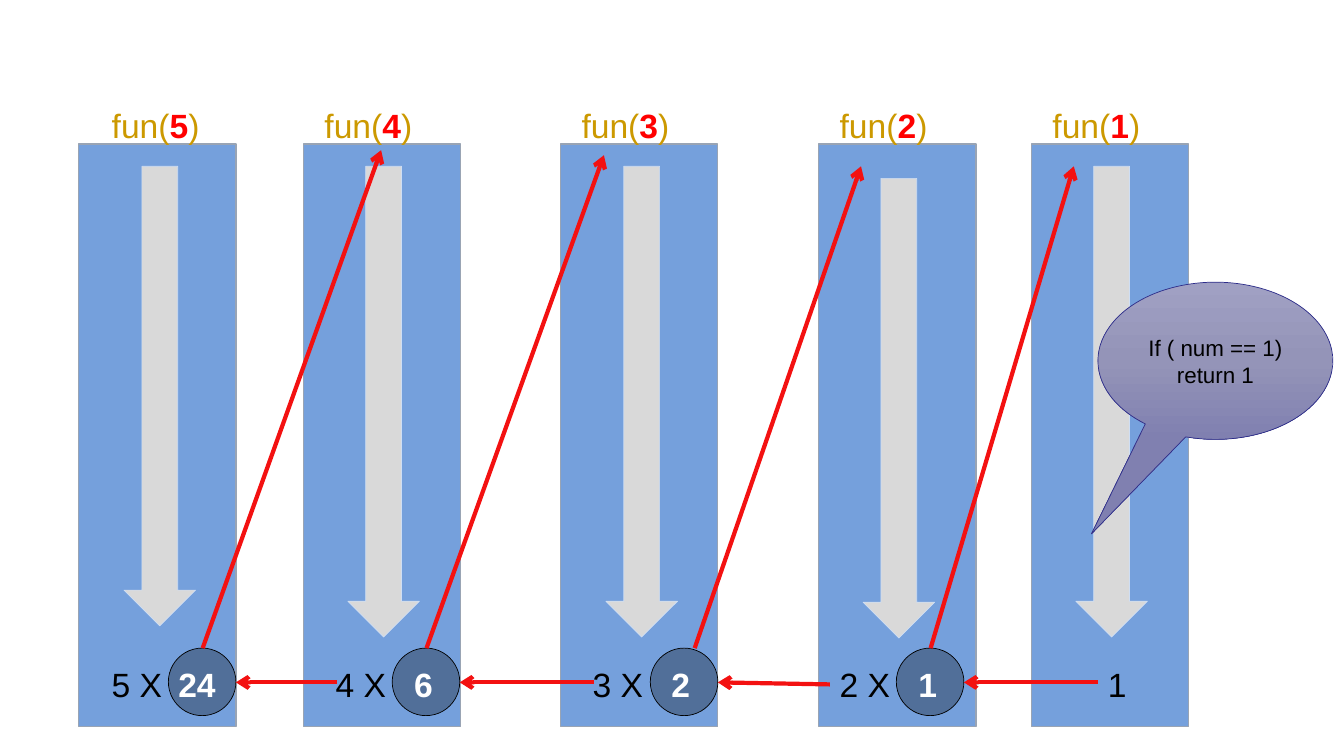
import copy

import pptx
import pptx.dml.color
import pptx.enum.shapes
import pptx.enum.text
import pptx.oxml
import pptx.oxml.ns
import pptx.util

PX = 9144  # EMU per px, 100 px to the inch
SHAPE = pptx.enum.shapes.MSO_SHAPE
ALIGN = pptx.enum.text.PP_ALIGN
ANCHOR = pptx.enum.text.MSO_ANCHOR
A_NS = 'xmlns:a="http://schemas.openxmlformats.org/drawingml/2006/main"'

RED, GOLD, ARROW_RED = "FF0000", "CC9900", "F31111"
BLACK, WHITE = "000000", "FFFFFF"
TOP, COL_W, COL_H = 143, 156, 578
CIRCLE_TOP, CIRCLE_D = 643, 67

# One call of the function per column; dx values are offsets from its left edge
COLUMNS = [
    dict(left=78, num=5, label_dx=23, arrow=(45, 165, 456), term="5 X", term_dx=23,
         result="24", circle_dx=89, result_dx=89),
    dict(left=301, num=4, label_dx=11, arrow=(44, 165, 467), term="4 X", term_dx=22,
         result="6", circle_dx=88, result_dx=100),
    dict(left=556, num=3, label_dx=11, arrow=(45, 165, 467), term="3 X", term_dx=22,
         result="2", circle_dx=89, result_dx=100),
    dict(left=812, num=2, label_dx=11, arrow=(44, 177, 456), term="2 X", term_dx=11,
         result="1", circle_dx=77, result_dx=89),
    dict(left=1023, num=1, label_dx=11, arrow=(44, 165, 467), term="1", term_dx=66,
         result=None),
]
CALLS = [((201, 643), (378, 149)), ((423, 643), (599, 154)),
         ((689, 643), (854, 165)), ((923, 643), (1065, 165))]
RETURNS = [((334, 677), (234, 677)), ((589, 677), (456, 677)),
           ((823, 679), (712, 677)), ((1089, 677), (956, 677))]


def px(*values):
    return [pptx.util.Emu(v * PX) for v in values]


def rgb(color):
    return pptx.dml.color.RGBColor.from_string(color)


def add_runs(p, runs, size=24):
    for text, color, bold in runs:
        r = p.add_run()
        r.text = text
        style = dict(name="Arial", size=pptx.util.Pt(size), bold=bold)
        for key, value in style.items():
            setattr(r.font, key, value)
        r.font.color.rgb = rgb(color)


def add_text(slide, left, top, width, runs, wrap=False):
    tf = slide.shapes.add_textbox(*px(left, top, width, 50)).text_frame
    tf.word_wrap = wrap
    add_runs(tf.paragraphs[0], runs)


def add_shape(slide, kind, box, fill, line, line_pt):
    sp = slide.shapes.add_shape(kind, *px(*box))
    sp.shadow.inherit = False
    if fill:
        sp.fill.solid()
        sp.fill.fore_color.rgb = rgb(fill)
    sp.line.color.rgb = rgb(line)
    sp.line.width = pptx.util.Pt(line_pt)
    return sp


def add_arrow(slide, start, end):
    cn = slide.shapes.add_connector(
        pptx.enum.shapes.MSO_CONNECTOR.STRAIGHT, *px(*start, *end))
    cn.line.color.rgb = rgb(ARROW_RED)
    cn.line.width = pptx.util.Pt(3)
    cn.line._get_or_add_ln().append(
        pptx.oxml.parse_xml(f'<a:tailEnd {A_NS} type="arrow"/>'))
    cn._element.spPr.append(pptx.oxml.parse_xml(f"<a:effectLst {A_NS}/>"))


def add_column(slide, left, num, label_dx, arrow, term, term_dx, result,
               circle_dx=0, result_dx=0):
    # Bar, heading and downward arrow
    add_shape(slide, SHAPE.RECTANGLE, (left, TOP, COL_W, COL_H), "75A0DC", "99A4B4", 1)
    add_text(slide, left + label_dx, 99, 133,
             [("fun(", GOLD, False), (str(num), RED, True), (")", GOLD, False)], True)
    arrow_dx, arrow_top, arrow_h = arrow
    add_shape(slide, SHAPE.DOWN_ARROW, (left + arrow_dx, arrow_top, 71, arrow_h),
              "D9D9D9", "CFDEF3", 0.5)
    # Product at the foot
    add_text(slide, left + term_dx, 654, 78 if result else 39, [(term, BLACK, False)])
    if result:
        sp = add_shape(slide, SHAPE.OVAL,
                       (left + circle_dx, CIRCLE_TOP, CIRCLE_D, CIRCLE_D),
                       BLACK, BLACK, 0.5)
        clr = sp._element.spPr.find(pptx.oxml.ns.qn("a:solidFill"))[0]
        clr.append(pptx.oxml.parse_xml(f'<a:alpha {A_NS} val="30000"/>'))
        add_text(slide, left + result_dx, 654, 39 if len(result) == 1 else 57,
                 [(result, WHITE, True)])


def add_callout(slide, box, lines):
    sp = add_shape(slide, SHAPE.OVAL_CALLOUT, box, None, "2D2D8A", 0.5)
    for i, value in enumerate((-0.528, 1.101)):
        sp.adjustments[i] = value
    # Three-stop gradient, light at the top
    sp.fill.gradient()
    sp.fill.gradient_angle = 270
    stops = sp._element.spPr.find(".//" + pptx.oxml.ns.qn("a:gsLst"))
    stops.insert(1, copy.deepcopy(stops[0]))
    colors = ("A0A0C3", "9494B8", "8080B0")
    for i, (stop, color) in enumerate(zip(sp.fill.gradient_stops, colors)):
        stop.position = i / 2
        stop.color.rgb = rgb(color)
    tf = sp.text_frame
    tf.word_wrap = True
    tf.vertical_anchor = ANCHOR.MIDDLE
    for i, text in enumerate(lines):
        p = tf.add_paragraph() if i else tf.paragraphs[0]
        p.alignment = ALIGN.CENTER
        add_runs(p, [(text, BLACK, False)], 16)


def main():
    prs = pptx.Presentation()
    prs.slide_width, prs.slide_height = px(1333, 750)
    slide = prs.slides.add_slide(prs.slide_layouts[6])
    for column in COLUMNS:
        add_column(slide, **column)
    add_callout(slide, (1089, 280, 233, 156), ["If ( num == 1)", "return 1"])
    for start, end in CALLS + RETURNS:
        add_arrow(slide, start, end)
    prs.save("out.pptx")


if __name__ == "__main__":
    main()
